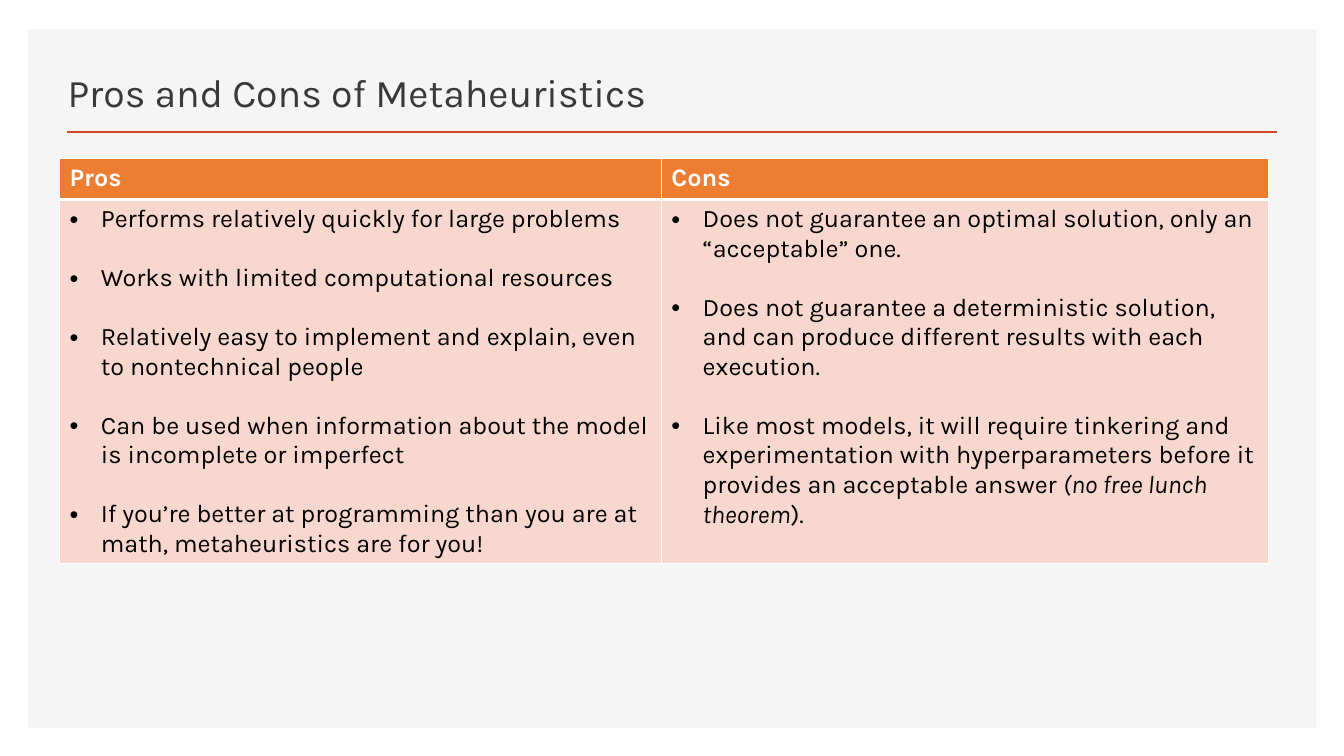
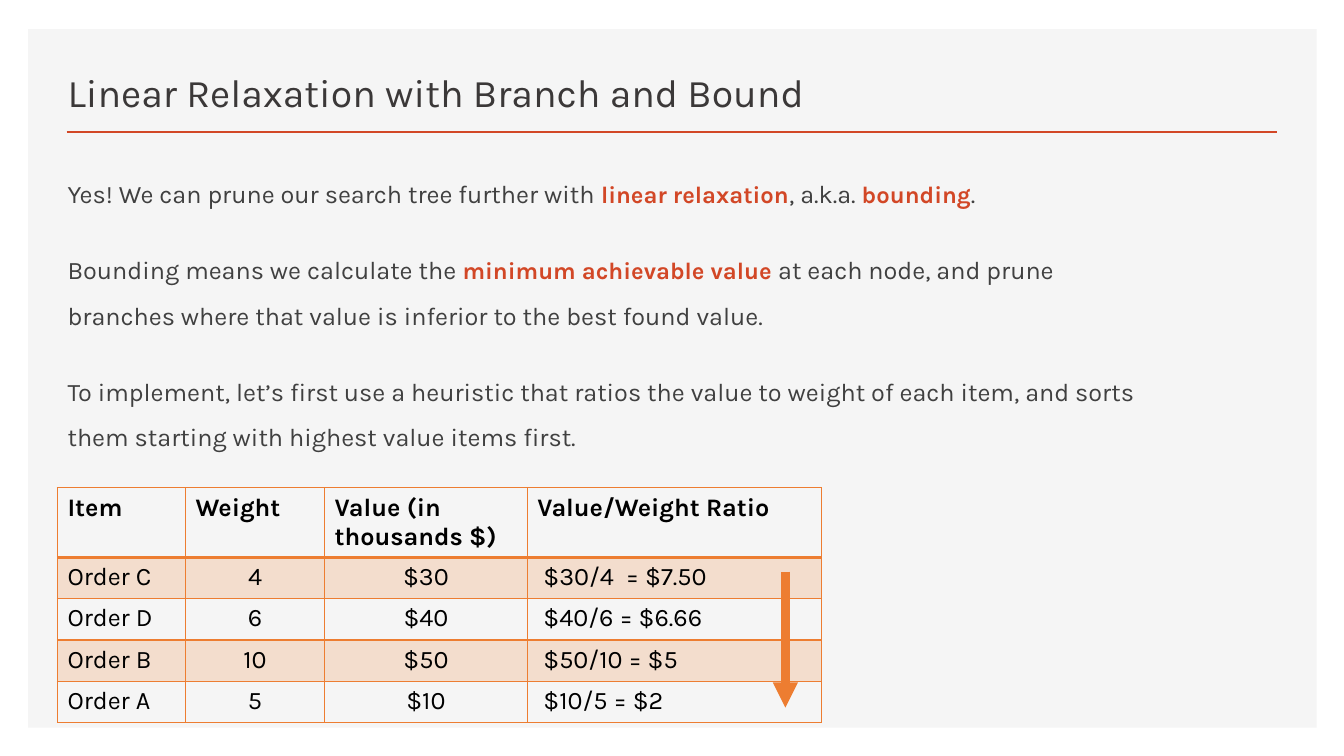
from lxml.etree import SubElement
from pptx import Presentation
from pptx.dml.color import RGBColor
from pptx.enum.shapes import MSO_CONNECTOR, MSO_SHAPE
from pptx.enum.text import MSO_ANCHOR, MSO_AUTO_SIZE, PP_ALIGN
from pptx.oxml.ns import qn
from pptx.util import Inches, Pt

ACCENT, ORANGE, PANEL = "D24726", "ED7D31", "F5F5F5"
WHITE, BLACK, ROSE = "FFFFFF", "000000", "F8D7CE"
TITLE = {"name": "Karla", "size": Pt(28), "bold": False, "color": "3B3838"}
PROSE = {"name": "Karla", "size": Pt(18), "bold": False, "color": "404040"}
KEYWORD = {"size": Pt(17), "bold": True, "color": ACCENT}
CELL = {**PROSE, "color": BLACK}
HEADER = {**CELL, "bold": True}
ITALIC = {"italic": True}
BULLET_INDENT = Inches(0.31)

PROS = [
    "Performs relatively quickly for large problems",
    "Works with limited computational resources",
    "Relatively easy to implement and explain, even to nontechnical people",
    "Can be used when information about the model is incomplete or imperfect",
    "If you’re better at programming than you are at math, metaheuristics are for you!",
]
CONS = [
    "Does not guarantee an optimal solution, only an “acceptable” one.",
    "Does not guarantee a deterministic solution, and can produce different results "
    "with each execution.",
    [
        "Like most models, it will require tinkering and experimentation with "
        "hyperparameters before it provides an acceptable answer ",
        ("(no free lunch theorem", ITALIC),
        ").",
    ],
]
BOUNDING = [
    [
        "Yes! We can prune our search tree further with ",
        ("linear relaxation", KEYWORD),
        ", a.k.a. ",
        ("bounding", KEYWORD),
        ".",
    ],
    [
        "Bounding means we calculate the ",
        ("minimum achievable value ", KEYWORD),
        "at each node, and prune branches where that value is inferior to the best "
        "found value.",
    ],
    "To implement, let’s first use a heuristic that ratios the value to weight of each "
    "item, and sorts them starting with highest value items first.",
]
ORDERS = [
    ["Item", "Weight", "Value (in thousands $)", "Value/Weight Ratio"],
    ["Order C", "4", "$30", "$30/4  = $7.50"],
    ["Order D", "6", "$40", "$40/6 = $6.66"],
    ["Order B", "10", "$50", "$50/10 = $5"],
    ["Order A", "5", "$10", "$10/5 = $2"],
]


def rgb(value):
    return RGBColor.from_string(value)


class Deck:
    """Hold the shared style and the slide being built."""

    def __init__(self):
        self.deck = Presentation()
        self.deck.slide_width, self.deck.slide_height = Inches(13.33), Inches(7.5)
        self.slide = None

    def start(self, heading, layout):
        first = self.slide is None
        self.slide = self.deck.slides.add_slide(
            self.deck.slide_layouts.get_by_name(layout))
        if first:
            self.dress_master()
        title = self.slide.shapes.title
        self.place(title, 0.57, 0.49, 7.52, 0.7)
        title.text_frame.vertical_anchor = MSO_ANCHOR.BOTTOM
        self.add_text(title.text_frame, [heading], TITLE, {"alignment": PP_ALIGN.LEFT})

    def dress_master(self):
        panel = self.slide.shapes.add_shape(
            MSO_SHAPE.RECTANGLE, Inches(0.28), Inches(0.29), Inches(12.78), Inches(6.93))
        panel.shadow.inherit = False
        panel.fill.solid()
        panel.fill.fore_color.rgb = rgb(PANEL)
        panel.line.fill.background()
        rule = self.line(0.66, 1.31, 12.67, 1.31, ACCENT, 2)
        master_tree = self.deck.slide_master.shapes._spTree
        for offset, part in enumerate((panel, rule)):
            part._element.xpath(".//p:cNvPr")[0].set("id", str(100 + offset))
            master_tree.insert(2 + offset, part._element)

    def place(self, placeholder, left, top, width, height):
        bounds = {"left": left, "top": top, "width": width, "height": height}
        for name, length in bounds.items():
            setattr(placeholder, name, Inches(length))
        placeholder.text_frame.auto_size = MSO_AUTO_SIZE.NONE
        placeholder.text_frame.word_wrap = True

    def add_text(self, frame, paragraphs, style, layout, bullet=False):
        for index, content in enumerate(paragraphs):
            paragraph = frame.add_paragraph() if index else frame.paragraphs[0]
            if bullet:
                self.bullet(paragraph)
            for name, value in layout.items():
                if index or name != "space_before":
                    setattr(paragraph, name, value)
            for piece in [content] if isinstance(content, str) else content:
                text, change = (piece, {}) if isinstance(piece, str) else piece
                run = paragraph.add_run()
                run.text = text
                for name, value in {**style, **change}.items():
                    if name == "color":
                        run.font.color.rgb = rgb(value)
                    else:
                        setattr(run.font, name, value)

    def bullet(self, paragraph):
        properties = paragraph._p.get_or_add_pPr()
        properties.set("marL", str(BULLET_INDENT))
        properties.set("indent", str(-BULLET_INDENT))
        SubElement(properties, qn("a:buFont"), typeface="Arial")
        SubElement(properties, qn("a:buChar"), char="•")

    def body(self, paragraphs):
        body = self.slide.placeholders[1]
        self.place(body, 0.57, 1.57, 11.03, 5.44)
        self.add_text(body.text_frame, paragraphs, PROSE, {
            "line_spacing": 1.5, "space_before": Pt(10), "space_after": Pt(12)})
        body.text_frame.paragraphs[0].space_before = Pt(0)
        for paragraph in body.text_frame.paragraphs:
            properties = paragraph._p.get_or_add_pPr()
            properties.set("marL", "0")
            properties.set("indent", "0")
            SubElement(properties, qn("a:buNone"))

    def line(self, x1, y1, x2, y2, color, width, arrow=False):
        line = self.slide.shapes.add_connector(
            MSO_CONNECTOR.STRAIGHT, Inches(x1), Inches(y1), Inches(x2), Inches(y2))
        line.line.color.rgb = rgb(color)
        line.line.width = Pt(width)
        if arrow:
            SubElement(line._element.spPr.find(qn("a:ln")), qn("a:tailEnd"),
                       type="triangle")
        SubElement(line._element.spPr, qn("a:effectLst"))
        return line

    def table(self, left, top, widths, heights, border, header_rule):
        table = self.slide.shapes.add_table(
            len(heights), len(widths), Inches(left), Inches(top),
            Inches(sum(widths)), Inches(sum(heights))).table
        table.first_row = table.horz_banding = False
        for column, width in zip(table.columns, widths):
            column.width = Inches(width)
        for index, (row, height) in enumerate(zip(table.rows, heights)):
            row.height = Inches(height)
            edges = {"L": 1, "R": 1, "T": header_rule if index == 1 else 1,
                     "B": header_rule if index == 0 else 1}
            for cell in row.cells:
                self.borders(cell, border, edges)
        return table

    def borders(self, cell, color, edges):
        properties = cell._tc.get_or_add_tcPr()
        for side, width in edges.items():
            edge = SubElement(properties, qn(f"a:ln{side}"), w=str(Pt(width)))
            fill = SubElement(edge, qn("a:solidFill"))
            SubElement(fill, qn("a:srgbClr"), val=color)

    def cell(self, cell, paragraphs, style, fill=None, opacity=100, bullet=False, **layout):
        self.add_text(cell.text_frame, paragraphs, style, layout, bullet)
        if fill is None:
            cell.fill.background()
            return
        cell.fill.solid()
        cell.fill.fore_color.rgb = rgb(fill)
        if opacity < 100:
            color = cell._tc.tcPr.find(qn("a:solidFill")).find(qn("a:srgbClr"))
            SubElement(color, qn("a:alpha"), val=str(opacity * 1000))


def pros_and_cons(deck):
    deck.start("Pros and Cons of Metaheuristics", "Title Only")
    comparison = deck.table(0.59, 1.57, [5.97, 6.02], [0.41, 3.61], WHITE, 3)
    for column, (heading, points) in enumerate([("Pros", PROS), ("Cons", CONS)]):
        deck.cell(comparison.cell(0, column), [heading], {**HEADER, "color": WHITE}, ORANGE)
        deck.cell(comparison.cell(1, column), points, CELL, ROSE,
                  bullet=True, space_before=Pt(21))


def linear_relaxation(deck):
    deck.start("Linear Relaxation with Branch and Bound", "Title and Content")
    deck.body(BOUNDING)
    ranking = deck.table(0.57, 4.84, [1.27, 1.38, 2.01, 2.92],
                         [0.69] + [0.41] * 4, ORANGE, 2)
    for row, order in enumerate(ORDERS):
        for column, value in enumerate(order):
            cell = ranking.cell(row, column)
            centred = row > 0 and column in (1, 2)
            if row > 0 and column == 3:
                cell.margin_left = Inches(0.16)
            deck.cell(cell, [value], CELL if row else HEADER,
                      ORANGE if row % 2 else None, 20,
                      alignment=PP_ALIGN.CENTER if centred else PP_ALIGN.LEFT)
    deck.line(7.79, 5.67, 7.79, 7.02, ORANGE, 6, arrow=True)


def main():
    deck = Deck()
    pros_and_cons(deck)
    linear_relaxation(deck)
    deck.deck.save("out.pptx")


if __name__ == "__main__":
    main()
